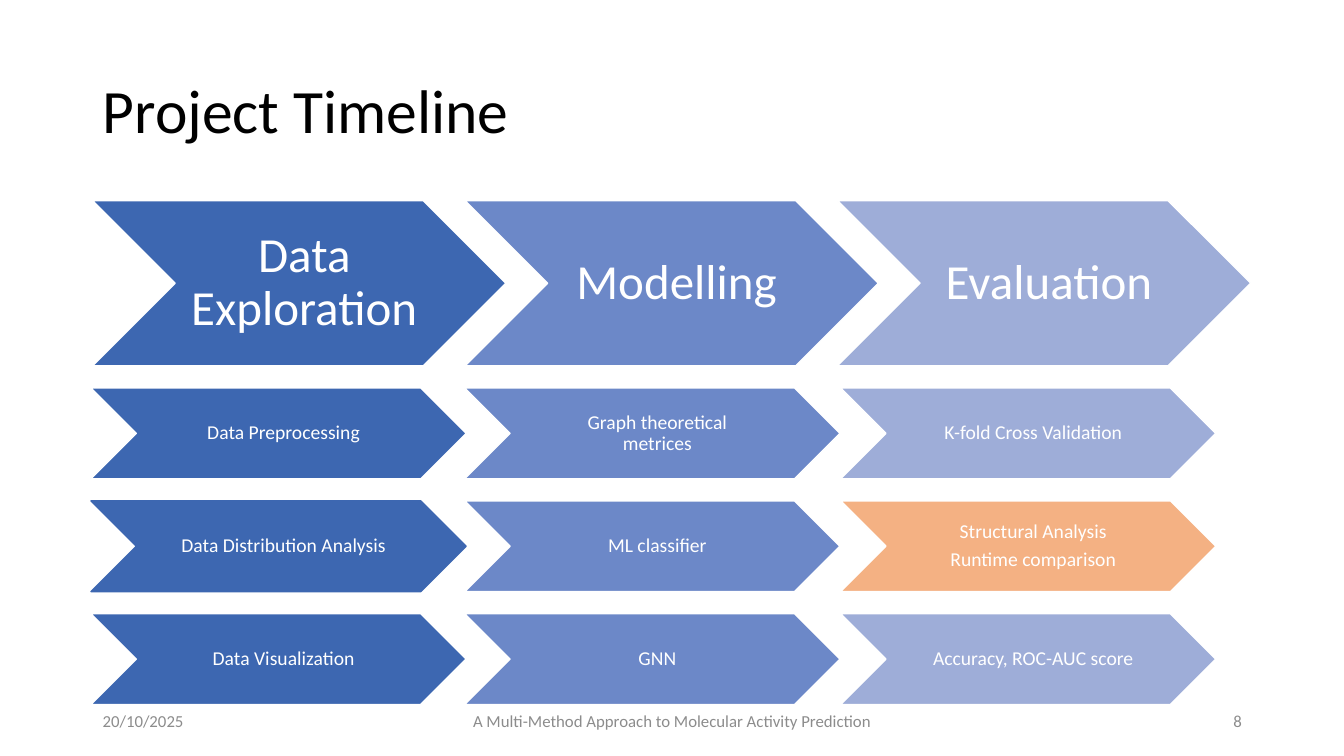
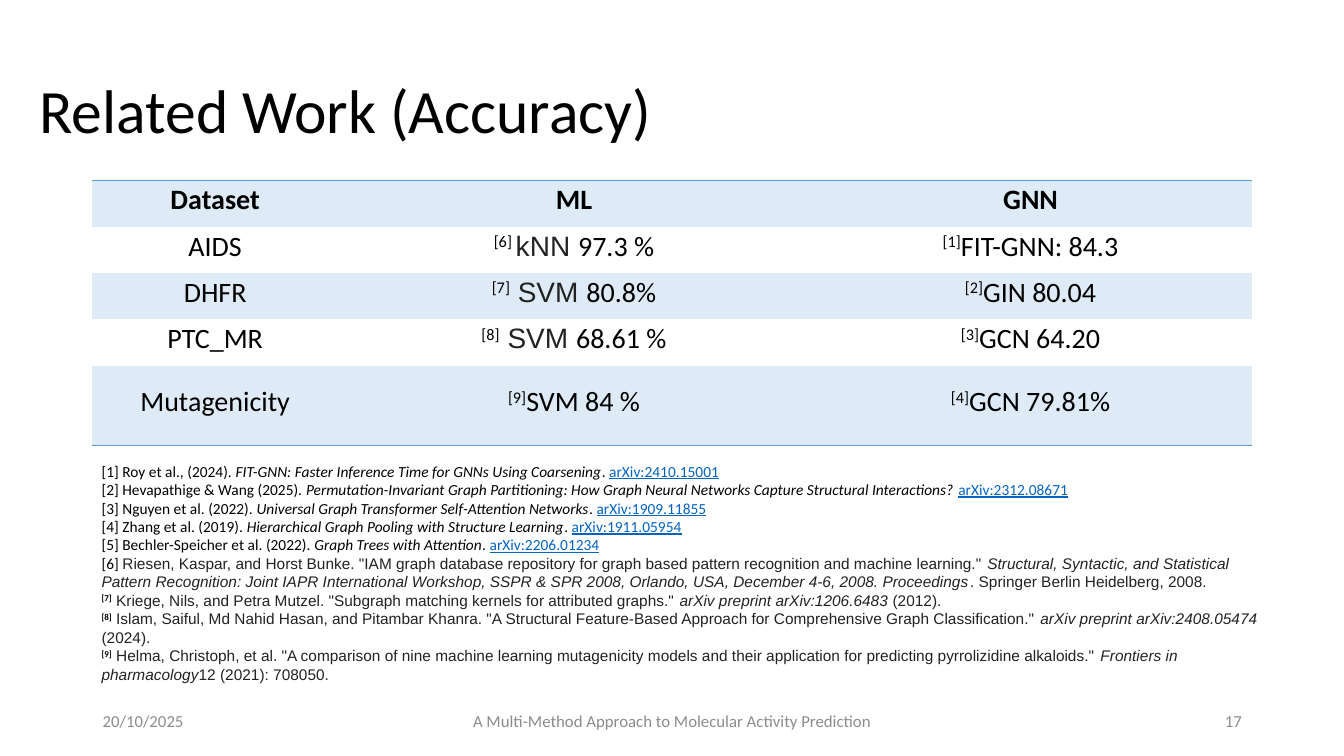
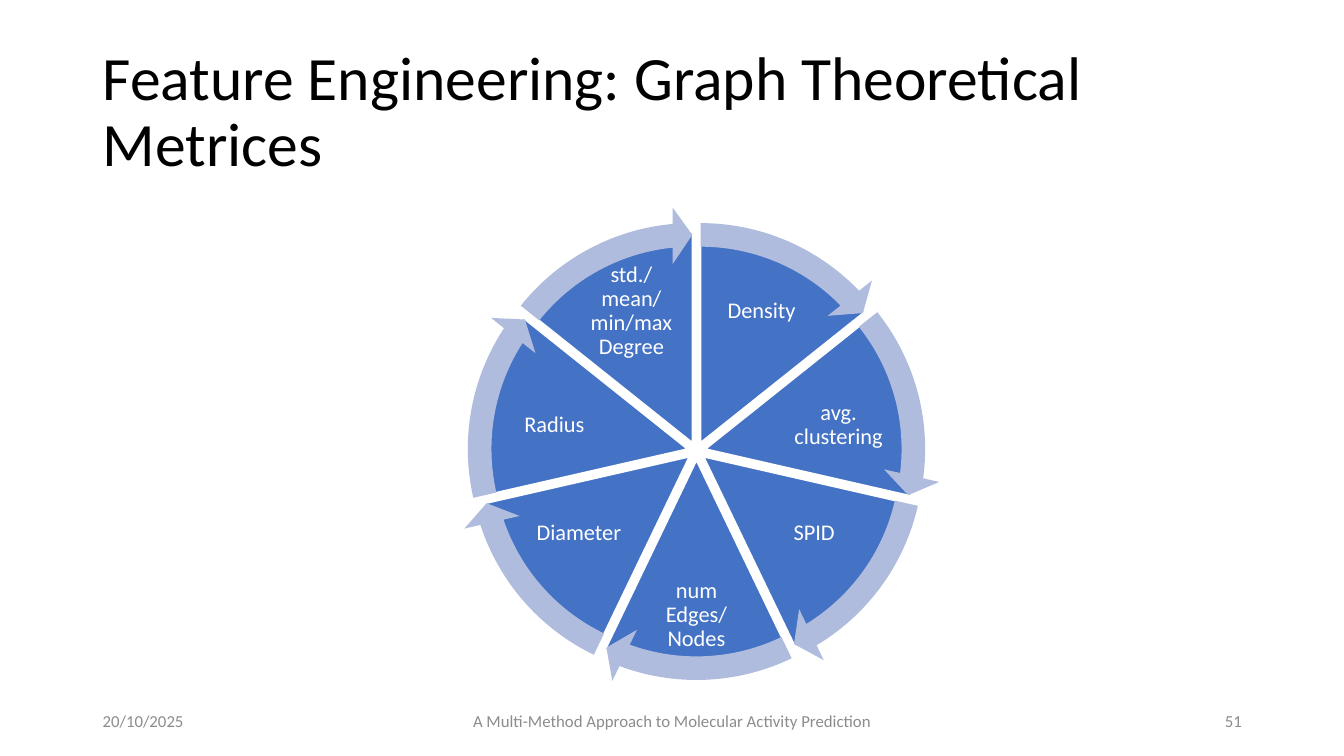
from math import cos, radians, sin

from lxml.etree import SubElement
from pptx import Presentation
from pptx.dml.color import RGBColor
from pptx.enum.shapes import MSO_SHAPE
from pptx.enum.text import MSO_ANCHOR, MSO_AUTO_SIZE, PP_ALIGN
from pptx.oxml import parse_xml
from pptx.oxml.ns import nsdecls, qn
from pptx.util import Pt

BLACK = RGBColor(0x00, 0x00, 0x00)
WHITE = RGBColor(0xFF, 0xFF, 0xFF)
GREY = RGBColor(0x8C, 0x8C, 0x8C)
INK = RGBColor(0x22, 0x22, 0x22)
LINK = RGBColor(0x05, 0x63, 0xC1)
NAVY = RGBColor(0x3D, 0x67, 0xB1)
BLUE = RGBColor(0x6C, 0x88, 0xC8)
LAVENDER = RGBColor(0x9E, 0xAD, 0xD8)
ORANGE = RGBColor(0xF4, 0xB1, 0x83)
SLICE = RGBColor(0x44, 0x72, 0xC4)
ARROW = RGBColor(0xB0, 0xBC, 0xDE)
BAND = RGBColor(0xDE, 0xEB, 0xF7)
RULE = RGBColor(0x5B, 0x9B, 0xD5)

MARGIN = 66.2
CONTENT_W = 828
DATE = "20/10/2025"
FOOTER = "A Multi-Method Approach to Molecular Activity Prediction"
PLAIN_TABLE = "{2D5ABB26-0587-4C30-8999-92F81FD0307C}"

PHASES = [
    ("Data Exploration", NAVY, 65,
     ["Data Preprocessing", "Data Distribution Analysis", "Data Visualization"]),
    ("Modelling", BLUE, 332,
     ["Graph theoretical metrices", "ML classifier", "GNN"]),
    ("Evaluation", LAVENDER, 600.5,
     ["K-fold Cross Validation", "Structural Analysis\nRuntime comparison",
      "Accuracy, ROC-AUC score"]),
]

RESULTS = [
    ("AIDS", ("[6] ", "kNN ", "97.3 %"), ("[1]", "", "FIT-GNN: 84.3")),
    ("DHFR", ("[7]", " SVM ", "80.8%"), ("[2]", "", "GIN 80.04")),
    ("PTC_MR", ("[8]", " SVM ", "68.61 %"), ("[3]", "", "GCN 64.20")),
    ("Mutagenicity", ("[9]", "", "SVM 84 %"), ("[4]", "", "GCN 79.81%")),
]

PREPRINTS = [
    ("[1] Roy et al., (2024). ",
     "FIT-GNN: Faster Inference Time for GNNs Using Coarsening", ". ", "arXiv:2410.15001"),
    ("[2] Hevapathige & Wang (2025). ",
     "Permutation-Invariant Graph Partitioning: How Graph Neural Networks "
     "Capture Structural Interactions? ", "", "arXiv:2312.08671"),
    ("[3] Nguyen et al. (2022). ",
     "Universal Graph Transformer Self-Attention Networks", ". ", "arXiv:1909.11855"),
    ("[4] Zhang et al. (2019). ",
     "Hierarchical Graph Pooling with Structure Learning", ". ", "arXiv:1911.05954"),
    ("[5] Bechler-Speicher et al. (2022). ",
     "Graph Trees with Attention", ". ", "arXiv:2206.01234"),
]

PAPERS = [
    ("[6] ", "Riesen, Kaspar, and Horst Bunke. \"IAM graph database repository for graph "
     "based pattern recognition and machine learning.\" ",
     "Structural, Syntactic, and Statistical Pattern Recognition: Joint IAPR International "
     "Workshop, SSPR & SPR 2008, Orlando, USA, December 4-6, 2008. Proceedings",
     ". Springer Berlin Heidelberg, 2008."),
    ("[7]", " Kriege, Nils, and Petra Mutzel. \"Subgraph matching kernels for attributed "
     "graphs.\" ", "arXiv preprint arXiv:1206.6483", " (2012)."),
    ("[8]", " Islam, Saiful, Md Nahid Hasan, and Pitambar Khanra. \"A Structural "
     "Feature-Based Approach for Comprehensive Graph Classification.\" ",
     "arXiv preprint arXiv:2408.05474", " (2024)."),
    ("[9]", " Helma, Christoph, et al. \"A comparison of nine machine learning mutagenicity "
     "models and their application for predicting pyrrolizidine alkaloids.\" ",
     "Frontiers in pharmacology", "12 (2021): 708050."),
]

RIGHT_LABELS = [
    ("Density", 46.5, -100, 71, 57),
    ("avg. clustering", 101.5, -18.5, 82, 50),
    ("SPID", 84, 59, 71, 55),
]
BOTTOM_LABEL = ("num Edges/ Nodes", 0, 117.5, 70, 50)
LEFT_NAMES = ["std./mean/min/max Degree", "Radius", "Diameter"]


def write(p, text, size=14, color=BLACK, font="Calibri", bold=False,
          italic=False, underline=False, raised=False):
    if not text:
        return
    r = p.add_run()
    r.text = text
    r.font.size = Pt(size)
    r.font.name = font
    r.font.color.rgb = color
    r.font.bold = bold
    r.font.italic = italic
    r.font.underline = underline
    if raised:
        r._r.get_or_add_rPr().set("baseline", "30000")


def fill_frame(tf, text, align=PP_ALIGN.CENTER, spacing=None, after=0,
               insets=(7.2, 3.6, 7.2, 3.6), **fmt):
    tf.word_wrap = True
    tf.auto_size = MSO_AUTO_SIZE.NONE
    tf.vertical_anchor = MSO_ANCHOR.MIDDLE
    tf.margin_left, tf.margin_top, tf.margin_right, tf.margin_bottom = map(Pt, insets)
    for i, line in enumerate(text.split("\n")):
        p = tf.add_paragraph() if i else tf.paragraphs[0]
        p.alignment = align
        p.line_spacing = spacing
        p.space_after = Pt(after)
        write(p, line, **fmt)


def add_text(s, text, x, y, w, h, **fmt):
    tf = s.shapes.add_textbox(Pt(x), Pt(y), Pt(w), Pt(h)).text_frame
    fill_frame(tf, text, **fmt)


def add_shape(s, kind, x, y, w, h, fill, line=None, adjust=()):
    sp = s.shapes.add_shape(kind, Pt(x), Pt(y), Pt(w), Pt(h))
    sp.shadow.inherit = False
    sp.fill.solid()
    sp.fill.fore_color.rgb = fill
    if line is None:
        sp.line.fill.background()
    else:
        sp.line.color.rgb = line
        sp.line.width = Pt(1)
    for i, value in enumerate(adjust):
        sp.adjustments[i] = value
    return sp


def add_chevron(s, text, x, y, w, h, fill, size, pad=0, line=WHITE):
    sp = add_shape(s, MSO_SHAPE.CHEVRON, x, y, w, h, fill, line)
    fill_frame(sp.text_frame, text, size=size, color=WHITE, spacing=0.9,
               after=5 if "\n" in text else 0,
               insets=(10.8 + pad, 3.6, 3.6 + pad, 3.6))


def add_slide(prs, title, number, x=MARGIN, w=CONTENT_W):
    s = prs.slides.add_slide(prs.slide_layouts[5])
    sp = s.shapes.title
    sp.left, sp.top, sp.width, sp.height = Pt(x), Pt(28.8), Pt(w), Pt(104.4)
    fill_frame(sp.text_frame, title, align=PP_ALIGN.LEFT, spacing=0.9, size=44)
    for text, left, width, align in (
            (DATE, MARGIN, 216, PP_ALIGN.LEFT),
            (FOOTER, 318.2, 324, PP_ALIGN.CENTER),
            (number, 678.2, 216, PP_ALIGN.RIGHT)):
        add_text(s, text, left, 500.5, width, 28.8, align=align, size=12, color=GREY)
    return s


def add_border(cell, side):
    ln = parse_xml(f'<a:{side} {nsdecls("a")} w="12700"/>')
    SubElement(SubElement(ln, qn("a:solidFill")), qn("a:srgbClr")).set("val", str(RULE))
    cell._tc.get_or_add_tcPr().insert(0, ln)


def style_cell(cell, banded):
    cell.vertical_anchor = MSO_ANCHOR.MIDDLE
    p = cell.text_frame.paragraphs[0]
    p.alignment = PP_ALIGN.CENTER
    p.line_spacing = Pt(19.5)
    if banded:
        cell.fill.solid()
        cell.fill.fore_color.rgb = BAND
    else:
        cell.fill.background()
    return p


def add_results_table(s):
    widths = [176.4, 336.2, 316.1]
    heights = [33.1] * 4 + [56.9]
    table = s.shapes.add_table(len(heights), len(widths), Pt(65.5), Pt(128.9),
                               Pt(sum(widths)), Pt(sum(heights))).table
    table._tbl.tblPr.find(qn("a:tableStyleId")).text = PLAIN_TABLE
    table.first_row = False
    table.horz_banding = False
    for column, width in zip(table.columns, widths):
        column.width = Pt(width)
    for row, height in zip(table.rows, heights):
        row.height = Pt(height)
    for c, heading in enumerate(("Dataset", "ML", "GNN")):
        write(style_cell(table.cell(0, c), True), heading, size=20, bold=True)
        add_border(table.cell(0, c), "lnT")
    for r, (dataset, *scores) in enumerate(RESULTS, 1):
        banded = r % 2 == 0
        write(style_cell(table.cell(r, 0), banded), dataset, size=20)
        for c, (ref, method, score) in enumerate(scores, 1):
            p = style_cell(table.cell(r, c), banded)
            write(p, ref, size=20, raised=True)
            write(p, method, size=20, font="Arial", color=INK)
            write(p, score, size=20)
    for c in range(len(widths)):
        add_border(table.cell(len(RESULTS), c), "lnB")


def add_references(s):
    tf = s.shapes.add_textbox(Pt(65.5), Pt(326.2), Pt(856), Pt(191.5)).text_frame
    tf.word_wrap = True
    for i, (lead, title, stop, link) in enumerate(PREPRINTS):
        p = tf.add_paragraph() if i else tf.paragraphs[0]
        write(p, lead, size=11)
        write(p, title, size=11, italic=True)
        write(p, stop, size=11)
        write(p, link, size=11, color=LINK, underline=True)
    for i, (mark, lead, source, tail) in enumerate(PAPERS):
        p = tf.add_paragraph()
        write(p, mark, size=11, bold=i > 0, raised=i > 0)
        write(p, lead, size=11, font="Arial", color=INK)
        write(p, source, size=11, font="Arial", color=INK, italic=True)
        write(p, tail, size=11, font="Arial", color=INK)


def timeline_slide(prs):
    s = add_slide(prs, "Project Timeline", "8")
    for i, (phase, color, left, steps) in enumerate(PHASES):
        add_chevron(s, phase, MARGIN + 266 * i, 143.3, 295.2, 118, color, 35)
        for j, step in enumerate(steps):
            fill = ORANGE if "\n" in step else color
            add_chevron(s, step, left, 277.2 + 80.6 * j, 268, 64.8, fill, 14, pad=21.2,
                        line=NAVY if (i, j) == (0, 1) else WHITE)


def accuracy_slide(prs):
    s = add_slide(prs, "Related Work (Accuracy)", "17", x=20.9, w=873.4)
    add_results_table(s)
    add_references(s)


def metrics_slide(prs):
    s = add_slide(prs, "Feature Engineering: Graph Theoretical Metrices", "51")
    cx, cy, gap = 497.5, 322.2, 6.8
    step = 360 / 7
    unit = 0.6
    sectors = []
    for i in range(7):
        middle = radians(270 + step * (i + 0.5))
        sectors.append((cx + gap * cos(middle), cy + gap * sin(middle),
                        (270 + step * i) % 360 * unit,
                        (270 + step * (i + 1)) % 360 * unit))
    for x, y, start, end in sectors:
        add_shape(s, MSO_SHAPE.PIE, x - 149.8, y - 149.8, 299.6, 299.6, SLICE, WHITE,
                  (start, end))
    for x, y, start, end in sectors:
        add_shape(s, MSO_SHAPE.CIRCULAR_ARROW, x - 168.5, y - 168.5, 337, 337, ARROW,
                  adjust=(0.05, 3.28, end - 3.28, start, 0.06))
    left_labels = [(name, -dx, dy, w, h)
                   for name, (_, dx, dy, w, h) in zip(LEFT_NAMES, RIGHT_LABELS)]
    for text, dx, dy, w, h in RIGHT_LABELS + [BOTTOM_LABEL] + left_labels:
        add_text(s, text, cx + dx - w / 2, cy + dy - h / 2, w, h, size=16, color=WHITE,
                 spacing=0.9, insets=(1.6,) * 4)


def main():
    prs = Presentation()
    prs.slide_width, prs.slide_height = Pt(960), Pt(540)
    timeline_slide(prs)
    accuracy_slide(prs)
    metrics_slide(prs)
    prs.save("out.pptx")


if __name__ == "__main__":
    main()
